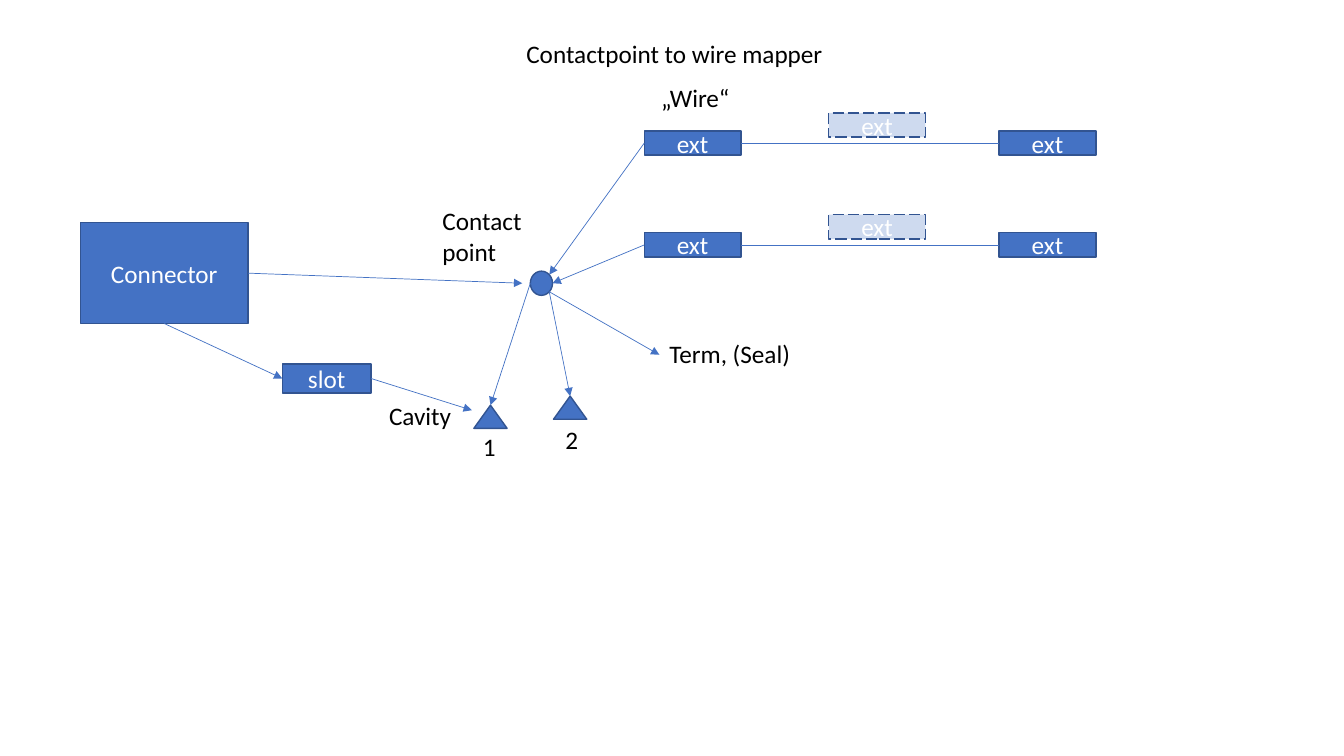
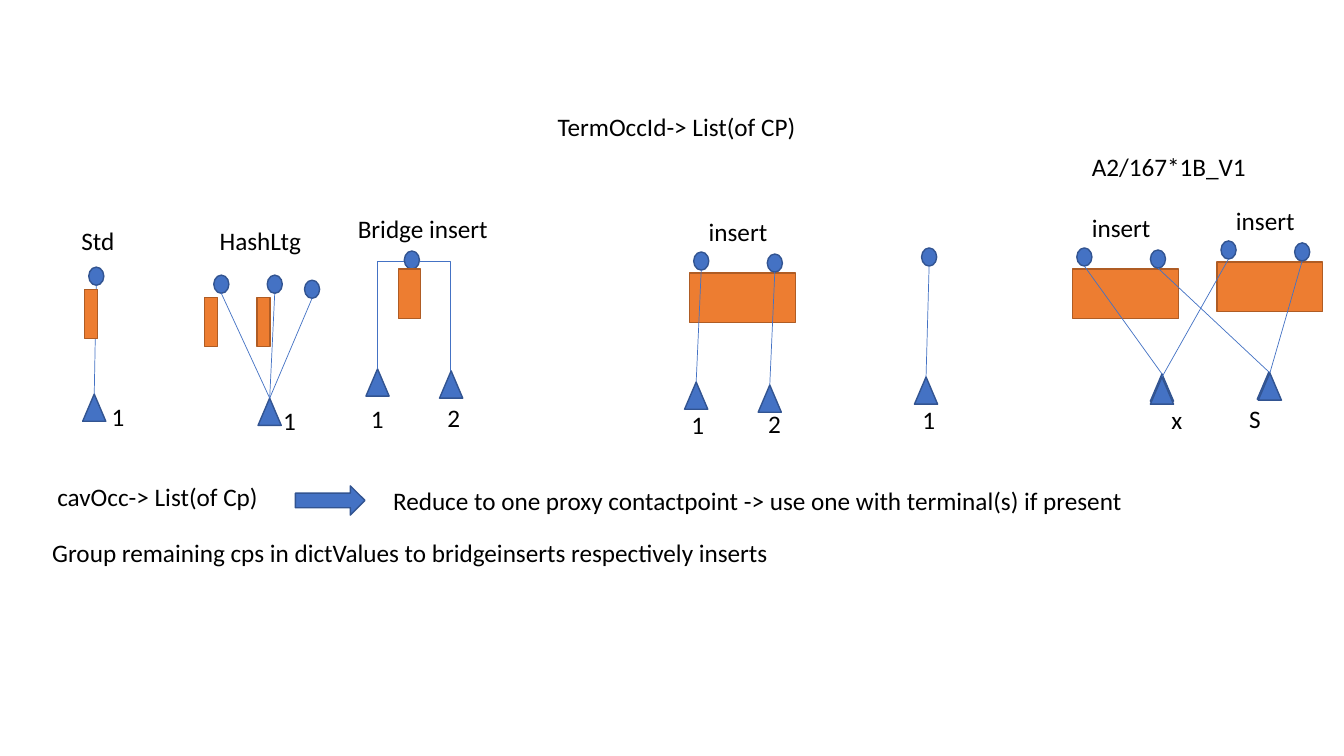
"""Build two slides that map contact points to wires and cavities."""
from dataclasses import dataclass
from math import cos, radians, sin
from typing import NamedTuple, Optional, Union

from pptx import Presentation
from pptx.dml.color import RGBColor
from pptx.enum.dml import MSO_LINE
from pptx.enum.shapes import MSO_CONNECTOR as LINK, MSO_SHAPE as GEOM
from pptx.enum.text import MSO_ANCHOR, MSO_AUTO_SIZE, PP_ALIGN
from pptx.oxml.ns import qn
from pptx.shapes.autoshape import Shape
from pptx.shapes.connector import Connector
from pptx.slide import Slide
from pptx.util import Inches, Pt
from lxml.etree import SubElement


class Paint(NamedTuple):
    fill: RGBColor
    edge: RGBColor


@dataclass(frozen=True)
class Theme:
    blue: Paint = Paint(RGBColor(0x44, 0x72, 0xC4), RGBColor(0x32, 0x54, 0x91))
    orange: Paint = Paint(RGBColor(0xED, 0x7D, 0x31), RGBColor(0xAF, 0x5C, 0x24))
    white: RGBColor = RGBColor(0xFF, 0xFF, 0xFF)
    black: RGBColor = RGBColor(0, 0, 0)
    font: str = "Calibri"
    size: Pt = Pt(18)
    edge: Pt = Pt(1)
    link: Pt = Pt(0.5)
    ghost_alpha: int = 26000


THEME = Theme()


class Box(NamedTuple):
    x: float
    y: float
    w: float
    h: float = 0.4


class Point(NamedTuple):
    x: float
    y: float


class Joint(NamedTuple):
    shape: Shape
    side: int


class Label(NamedTuple):
    text: str
    box: Box
    wrap: bool = False


End = Union[Point, Joint]
TOP, LEFT, BOTTOM, RIGHT = range(4)


def write(sp: Shape, text: str, color: RGBColor, align: PP_ALIGN) -> None:
    tf = sp.text_frame
    for i, line in enumerate(text.split("\n")):
        p = tf.add_paragraph() if i else tf.paragraphs[0]
        p.alignment = align
        r = p.add_run()
        r.text = line
        r.font.name, r.font.size = THEME.font, THEME.size
        r.font.color.rgb = color


def add_title(prs: Presentation, text: str, box: Box) -> Slide:
    s = prs.slides.add_slide(prs.slide_layouts[5])
    sp = s.shapes.title
    sp.left, sp.top, sp.width, sp.height = map(Inches, box)
    tf = sp.text_frame
    tf.word_wrap, tf.auto_size = True, MSO_AUTO_SIZE.NONE
    tf.vertical_anchor = MSO_ANCHOR.TOP
    write(sp, text, THEME.black, PP_ALIGN.LEFT)
    return s


def add_label(s: Slide, label: Label) -> None:
    sp = s.shapes.add_textbox(*map(Inches, label.box))
    sp.text_frame.word_wrap = label.wrap
    sp.text_frame.auto_size = MSO_AUTO_SIZE.SHAPE_TO_FIT_TEXT
    write(sp, label.text, THEME.black, PP_ALIGN.LEFT)


def add_block(s: Slide, geom: GEOM, box: Box, text: str = "",
              paint: Paint = THEME.blue, ghost: bool = False) -> Shape:
    sp = s.shapes.add_shape(geom, *map(Inches, box))
    sp.shadow.inherit = False
    sp.fill.solid()
    sp.fill.fore_color.rgb = paint.fill
    sp.line.color.rgb, sp.line.width = paint.edge, THEME.edge
    if ghost:
        sp.line.dash_style = MSO_LINE.LONG_DASH
        color = sp._element.spPr.find(qn("a:solidFill"))[0]
        SubElement(color, qn("a:alpha")).set("val", str(THEME.ghost_alpha))
    if text:
        write(sp, text, THEME.white, PP_ALIGN.CENTER)
    return sp


def add_link(s: Slide, start: End, end: End, arrow: bool = False,
             kind: LINK = LINK.STRAIGHT) -> Connector:
    spots = [e if isinstance(e, Point) else Point(0, 0) for e in (start, end)]
    c = s.shapes.add_connector(kind, *(Inches(v) for spot in spots for v in spot))
    if isinstance(start, Joint):
        c.begin_connect(*start)
    if isinstance(end, Joint):
        c.end_connect(*end)
    c.line.color.rgb, c.line.width = THEME.blue.fill, THEME.link
    props = c._element.spPr
    if arrow:
        SubElement(props.find(qn("a:ln")), qn("a:tailEnd")).set("type", "triangle")
    SubElement(props, qn("a:effectLst"))
    return c


def add_corner(s: Slide, start: Point, end: Point) -> None:
    c = add_link(s, start, end, kind=LINK.ELBOW)
    c._element.spPr.find(qn("a:prstGeom")).set("prst", "bentConnector2")


def add_wire(s: Slide, y: float) -> Shape:
    w, h = 0.96, 0.24
    near, far = (add_block(s, GEOM.RECTANGLE, Box(x, y, w, h), "ext") for x in (6.39, 9.91))
    add_link(s, Joint(near, RIGHT), Joint(far, LEFT))
    add_block(s, GEOM.RECTANGLE, Box(8.22, y - 0.18, w, h), "ext", ghost=True)
    return near


def add_contact(s: Slide, x: float, y: float) -> Point:
    """Draw a contact point and return the middle of its lower edge."""
    w, h = 0.15, 0.18
    add_block(s, GEOM.OVAL, Box(x, y, w, h))
    return Point(x + w / 2, y + h)


def add_cavity(s: Slide, x: float, y: float) -> Joint:
    return Joint(add_block(s, GEOM.ISOSCELES_TRIANGLE, Box(x, y, 0.23, 0.27)), TOP)


def add_terminal(s: Slide, x: float, y: float, w: float = 0.13) -> None:
    add_block(s, GEOM.RECTANGLE, Box(x, y, w, 0.49), paint=THEME.orange)


def add_insert(s: Slide, x: float, y: float) -> list[Point]:
    add_terminal(s, x, y, 1.05)
    add_label(s, Label("insert", Box(x + 0.09, y - 0.61, 0.79)))
    return [add_contact(s, x + dx, y + dy) for dx, dy in ((0.04, -0.21), (0.77, -0.19))]


def build_mapper(prs: Presentation) -> None:
    s = add_title(prs, "Contactpoint to wire mapper", Box(5.12, 0.33, 3.29))
    hub = Box(5.26, 2.69, 0.22, 0.24)
    add_block(s, GEOM.OVAL, hub)

    def rim(angle: float) -> Point:
        a = radians(angle)
        return Point(hub.x + hub.w / 2 * (1 + cos(a)), hub.y + hub.h / 2 * (1 + sin(a)))

    for x, y, angle in ((4.7, 4.02, 180), (5.49, 3.93, 45)):
        cavity = add_block(s, GEOM.ISOSCELES_TRIANGLE, Box(x, y, 0.33, 0.23))
        add_link(s, rim(angle), Joint(cavity, TOP), arrow=True)
    for y, angle in ((1.3, -45), (2.31, 0)):
        add_link(s, Joint(add_wire(s, y), LEFT), rim(angle), arrow=True)
    add_link(s, rim(45), Point(6.54, 3.52), arrow=True)

    connector = add_block(s, GEOM.RECTANGLE, Box(0.8, 2.21, 1.66, 1), "Connector")
    slot = add_block(s, GEOM.RECTANGLE, Box(2.8, 3.61, 0.88, 0.29), "slot")
    add_link(s, Joint(connector, RIGHT), Point(5.18, 2.81), arrow=True)
    add_link(s, Joint(connector, BOTTOM), Joint(slot, LEFT), arrow=True)
    add_link(s, Joint(slot, RIGHT), Point(4.68, 4.07), arrow=True)

    for label in (
        Label("„Wire“", Box(6.46, 0.77, 0.9)),
        Label("Contact\npoint", Box(4.29, 1.99, 0.99, 0.71)),
        Label("Term, (Seal)", Box(6.54, 3.31, 1.41)),
        Label("Cavity", Box(3.76, 3.92, 0.82)),
        Label("1", Box(4.69, 4.23, 0.33)),
        Label("2", Box(5.51, 4.16, 0.33)),
    ):
        add_label(s, label)


class Group(NamedTuple):
    contacts: tuple[Point, ...]
    cavity: Point
    terminals: tuple[Point, ...] = ()


class Mating(NamedTuple):
    contact: Optional[Point]
    cavity: Point


def build_groups(prs: Presentation) -> None:
    s = add_title(prs, "TermOccId-> List(of CP)", Box(5.43, 1.05, 3.16))
    for group in (
        Group((Point(0.88, 2.65),), Point(0.82, 3.91), (Point(0.84, 2.87),)),
        Group((Point(2.12, 2.73), Point(2.65, 2.73), Point(3.02, 2.78)),
              Point(2.56, 3.95), (Point(2.03, 2.95), Point(2.55, 2.95))),
        Group((Point(9.14, 2.46),), Point(9.07, 3.74)),
    ):
        cavity = add_cavity(s, *group.cavity)
        for contact in group.contacts:
            add_link(s, add_contact(s, *contact), cavity)
        for terminal in group.terminals:
            add_terminal(s, *terminal)

    add_contact(s, 4.01, 2.49)
    add_terminal(s, 3.95, 2.67, 0.22)
    for start, x, y in ((4.01, 3.63, 3.66), (4.17, 4.36, 3.68)):
        add_cavity(s, x, y)
        add_corner(s, Point(start, 2.59), Point(x + 0.11, y))

    single, left, right = (
        add_insert(s, x, y) for x, y in ((6.84, 2.71), (10.64, 2.67), (12.07, 2.6)))
    for mating in (
        Mating(single[0], Point(6.79, 3.79)),
        Mating(single[1], Point(7.52, 3.82)),
        Mating(left[1], Point(12.47, 3.69)),
        Mating(left[0], Point(11.41, 3.71)),
        Mating(right[1], Point(12.48, 3.7)),
        Mating(right[0], Point(11.41, 3.74)),
    ):
        add_link(s, mating.contact, add_cavity(s, *mating.cavity))

    add_block(s, GEOM.RIGHT_ARROW, Box(2.93, 4.82, 0.69, 0.29))
    for label in (
        Label("Std", Box(0.71, 2.19, 0.53)),
        Label("HashLtg", Box(2.08, 2.19, 1.02)),
        Label("Bridge insert", Box(3.45, 2.07, 1.51)),
        Label("A2/167*1B_V1", Box(10.73, 1.45, 1.75)),
        Label("1", Box(1.01, 3.93, 0.33)),
        Label("1", Box(2.71, 3.97, 0.33)),
        Label("1", Box(3.58, 3.95, 0.33)),
        Label("2", Box(4.34, 3.94, 0.33)),
        Label("1", Box(6.76, 4.01, 0.33)),
        Label("2", Box(7.52, 4, 0.33)),
        Label("1", Box(9.05, 3.96, 0.33)),
        Label("x", Box(11.52, 3.96, 0.31)),
        Label("S", Box(12.29, 3.95, 0.32)),
        Label("cavOcc-> List(of Cp)", Box(0.47, 4.73, 2.24), wrap=True),
        Label("Reduce to one proxy contactpoint -> use one with terminal(s) if present",
              Box(3.8, 4.77, 7.52)),
        Label("Group remaining cps in dictValues to bridgeinserts respectively inserts",
              Box(0.42, 5.28, 7.5)),
    ):
        add_label(s, label)


def main() -> None:
    prs = Presentation()
    prs.slide_width, prs.slide_height = Inches(13.33), Inches(7.5)
    build_mapper(prs)
    build_groups(prs)
    prs.save("out.pptx")


if __name__ == "__main__":
    main()
